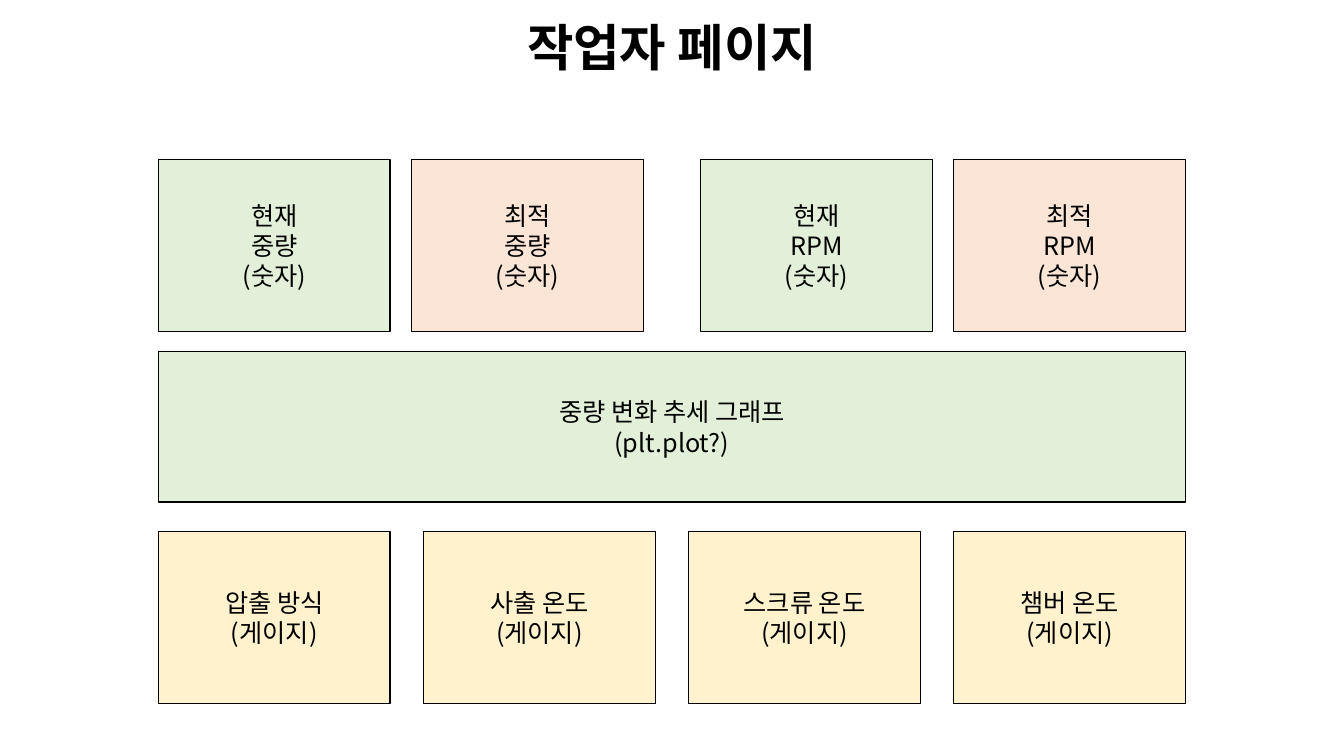
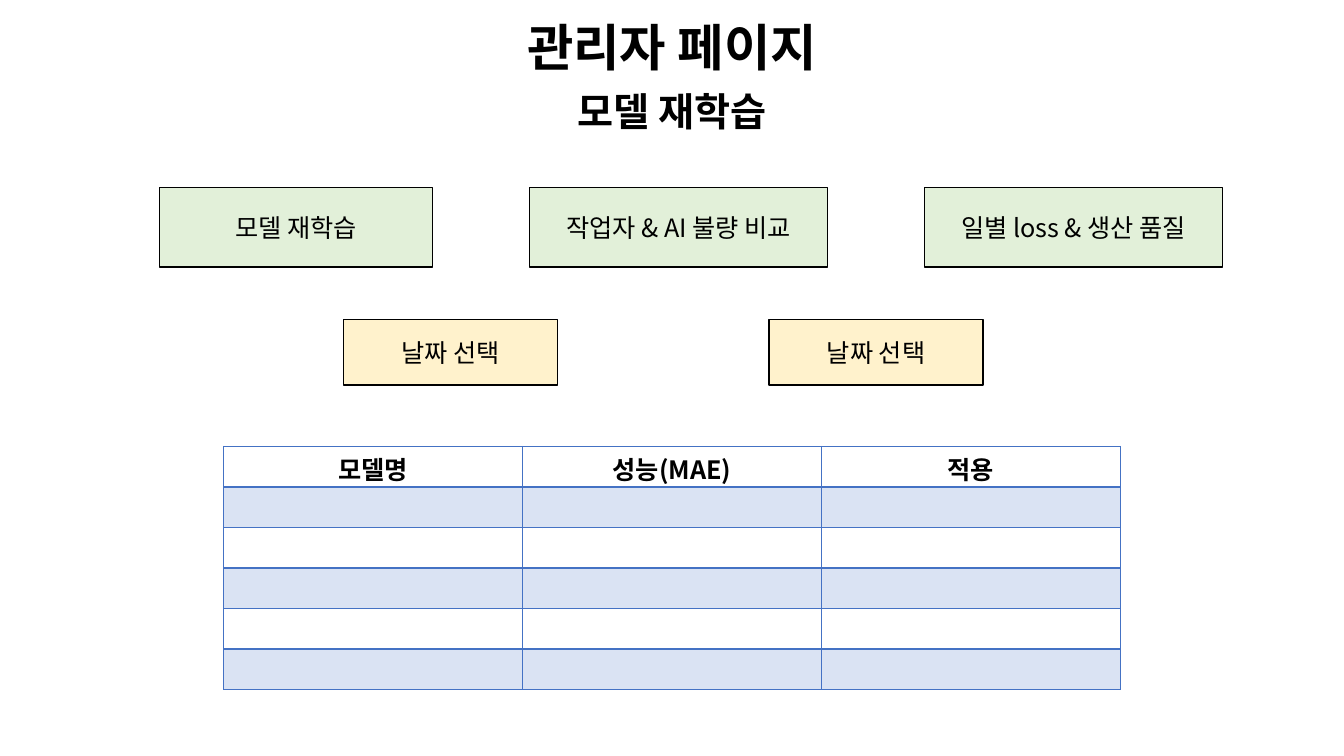
from lxml.etree import SubElement
from pptx import Presentation
from pptx.dml.color import RGBColor
from pptx.enum.shapes import MSO_SHAPE as Shape
from pptx.enum.text import MSO_ANCHOR as Anchor, MSO_AUTO_SIZE as AutoSize, PP_ALIGN as Align
from pptx.oxml.ns import qn
from pptx.util import Inches, Pt

FONT = "Noto Sans CJK KR"
COLORS = {
    "ink": "000000",
    "green": "E2F0D9",
    "peach": "FBE5D6",
    "yellow": "FFF2CC",
    "band": "DAE3F3",
    "rule": "4472C4",
}

deck = Presentation()
deck.slide_width = Inches(13.33)
deck.slide_height = Inches(7.5)
COLUMN = deck.slide_width / 100
ROW = deck.slide_height / 100


def area(left, top, width, height):
    return [round(left * COLUMN), round(top * ROW), round(width * COLUMN), round(height * ROW)]


def write(frame, text, size=18, bold=False, color="ink", align=Align.CENTER):
    frame.word_wrap = True
    for index, line in enumerate(text.split("\n")):
        para = frame.add_paragraph() if index else frame.paragraphs[0]
        para.alignment = align
        span = para.add_run()
        span.text = line
        span.font.name = FONT
        span.font.size = Pt(size)
        span.font.bold = bold
        span.font.color.rgb = RGBColor.from_string(COLORS[color])
        SubElement(span.font._element, qn("a:ea"), typeface=FONT)


LEFT, TOTAL, TILE, TILE_HEIGHT = 11.78, 76.43, 17.25, 22.8
PAIR_STEP = 18.83
GAUGE_STEP = (TOTAL - TILE) / 3

worker_boxes = []
for pair_left, measure in ((LEFT, "중량"), (LEFT + TOTAL - TILE - PAIR_STEP, "RPM")):
    for index, (state, color) in enumerate((("현재", "green"), ("최적", "peach"))):
        place = (pair_left + index * PAIR_STEP, 21.07, TILE, TILE_HEIGHT)
        worker_boxes.append((f"{state}\n{measure}\n(숫자)", color, place))

worker_boxes.append(("중량 변화 추세 그래프\n(plt.plot?)", "green", (LEFT, 46.53, TOTAL, 19.87)))

for index, gauge in enumerate(("압출 방식", "사출 온도", "스크류 온도", "챔버 온도")):
    place = (LEFT + index * GAUGE_STEP, 70.27, TILE, TILE_HEIGHT)
    worker_boxes.append((f"{gauge}\n(게이지)", "yellow", place))

manager_boxes = []
menu_left = 11.85
for label, width in (("모델 재학습", 20.33), ("작업자 & AI 불량 비교", 22.2), ("일별 loss & 생산 품질", 22.2)):
    manager_boxes.append((label, "green", (menu_left, 24.8, width, 10.53)))
    menu_left += width + 7.2

for date_left in (25.58, 57.23):
    manager_boxes.append(("날짜 선택", "yellow", (date_left, 42.27, 15.9, 8.67)))

pages = (
    ([("작업자 페이지", 36, 1.47, 9.47)], worker_boxes, True),
    ([("관리자 페이지", 36, 1.47, 9.47), ("모델 재학습", 28, 10.93, 7.6)], manager_boxes, False),
)

for headings, boxes, grouped in pages:
    page = deck.slides.add_slide(deck.slide_layouts[6])
    shapes = page.shapes.add_group_shape().shapes if grouped else page.shapes
    for text, color, place in boxes:
        box = shapes.add_shape(Shape.RECTANGLE, *area(*place))
        box.shadow.inherit = False
        box.fill.solid()
        box.fill.fore_color.rgb = RGBColor.from_string(COLORS[color])
        box.line.color.rgb = RGBColor.from_string(COLORS["ink"])
        box.line.width = Pt(1)
        box.text_frame.vertical_anchor = Anchor.MIDDLE
        write(box.text_frame, text)
    for text, size, top, height in headings:
        heading = page.shapes.add_textbox(*area(15, top, 70, height))
        write(heading.text_frame, text, size=size, bold=True)
        heading.text_frame.auto_size = AutoSize.SHAPE_TO_FIT_TEXT

headers = ("모델명", "성능(MAE)", "적용")
table = page.shapes.add_table(6, len(headers), *area(16.65, 59.07, 66.7, 32.13)).table
table.first_row = False
table.horz_banding = False

for row in range(6):
    for column, header in enumerate(headers):
        cell = table.cell(row, column)
        cell.vertical_anchor = Anchor.MIDDLE
        cell.margin_top = Inches(0.04)
        cell.margin_bottom = 0
        borders = cell._tc.get_or_add_tcPr()
        for side in ("L", "R", "T", "B"):
            heavy = (row, side) in ((0, "B"), (1, "T"))
            border = SubElement(borders, qn(f"a:ln{side}"), w=str(Pt(2 if heavy else 1)))
            paint = SubElement(border, qn("a:solidFill"))
            SubElement(paint, qn("a:srgbClr"), val=COLORS["rule"])
        if row % 2:
            cell.fill.solid()
            cell.fill.fore_color.rgb = RGBColor.from_string(COLORS["band"])
        else:
            cell.fill.background()
        if row == 0:
            write(cell.text_frame, header, bold=True)

deck.save("out.pptx")
